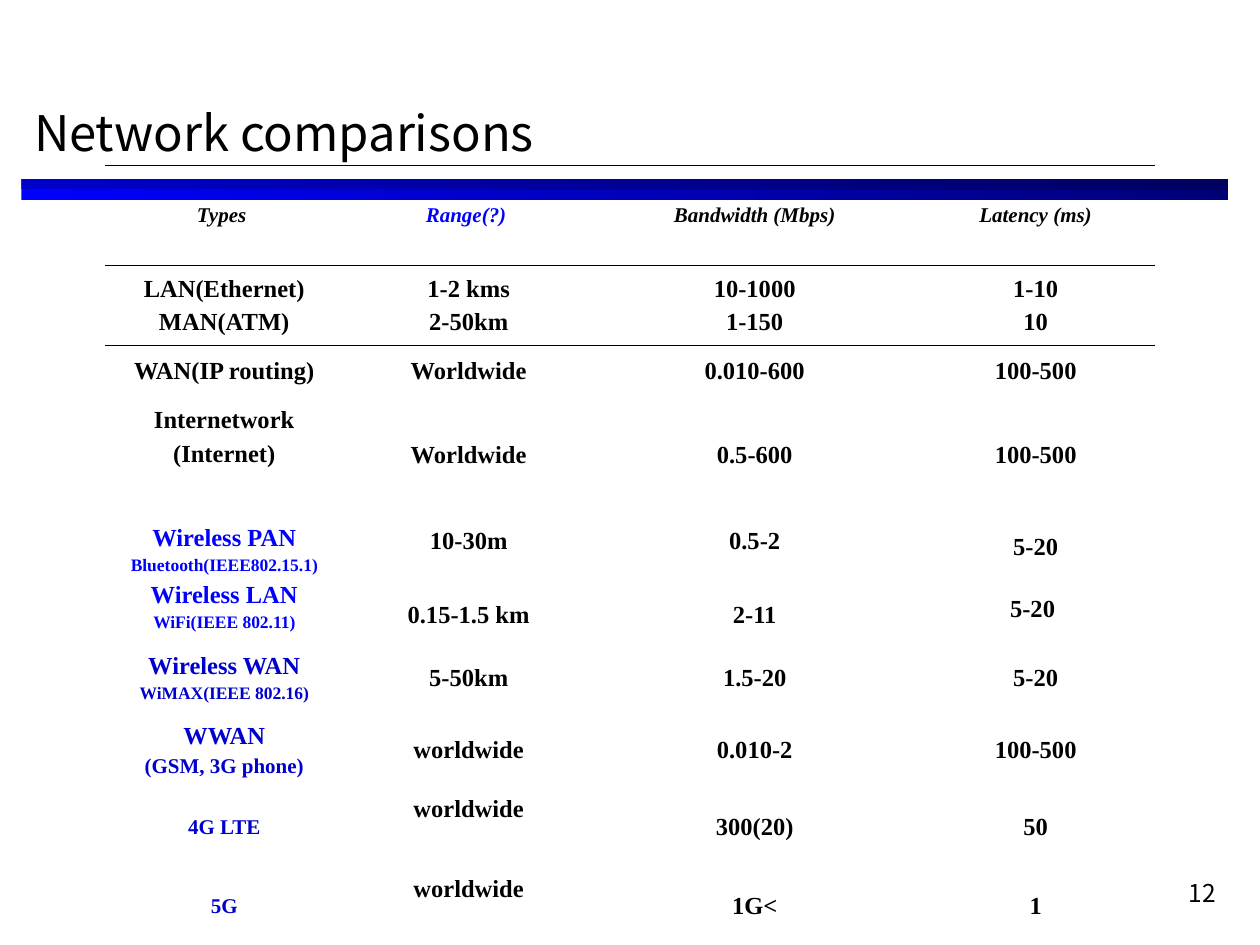
from lxml import etree
from pptx import Presentation
from pptx import util as u
from pptx.dml.color import RGBColor
from pptx.enum import shapes, text
from pptx.oxml import ns

BLACK = RGBColor(0, 0, 0)
BLUE = RGBColor(0, 0, 0xFF)
NAVY = RGBColor(0, 0, 0x76)
ROYAL = RGBColor(0, 0, 0xCC)
DEEP = RGBColor(0, 0, 0x5E)
SANS = "Noto Sans CJK KR"
SERIF = "Times New Roman"
NO_STYLE = "{2D5ABB26-0587-4C30-8999-92F81FD0307C}"

LEFT, SPAN = 0.17, 9.58
COLS = [1.9, 1.98, 2.56, 1.9]
ROWS = [0.8, 0.63, 0.41, 0.92, 1.04, 0.55, 0.59, 0.63, 0.63]
HEADS = ["Types ", "Range(?) ", "Bandwidth (Mbps)", "Latency (ms)"]
TYPES = [
    (BLACK, [("LAN(Ethernet)", 14), ("MAN(ATM)", 14)]),
    (BLACK, [("WAN(IP routing)", 14)]),
    (BLACK, [("Internetwork", 14), ("(Internet)", 14)]),
    (BLUE, [("Wireless PAN", 14), ("Bluetooth(IEEE802.15.1)", 10),
            ("Wireless LAN", 14), ("WiFi(IEEE 802.11)", 10)]),
    (ROYAL, [("Wireless WAN", 14), ("WiMAX(IEEE 802.16)", 10)]),
    (ROYAL, [("WWAN", 14), ("(GSM, 3G phone)", 12)]),
    (ROYAL, [("4G LTE", 12)]),
    (ROYAL, [("5G", 12)]),
]
VALUES = [
    (["1-2 kms", "2-50km"], ["10-1000", "1-150"], ["1-10", "10"]),
    (["Worldwide"], ["0.010-600"], ["100-500"]),
    (["Worldwide"], ["0.5-600"], ["100-500"]),
    (["10-30m", "0.15-1.5 km"], ["0.5-2", "2-11"], ["5-20", "5-20 "]),
    (["5-50km"], ["1.5-20"], ["5-20"]),
    (["worldwide"], ["0.010-2"], ["100-500"]),
    (["worldwide"], ["300(20)"], ["50"]),
    (["worldwide"], ["1G<"], ["1"]),
]
GAPS = {(4, 1): 27, (4, 2): 27, (4, 3): 19.5}
RAISED = {(3, 0), (7, 1), (8, 1)}


def add_run(para, words, size, face, color=BLACK, bold=False, slant=False):
    run = para.add_run()
    run.text = words
    font = run.font
    font.size, font.name = u.Pt(size), face
    font.bold, font.italic = bold, slant
    font.color.rgb = color


def add_bar(slide, height, start, end):
    bar = slide.shapes.add_shape(
        shapes.MSO_SHAPE.RECTANGLE, u.Inches(LEFT), u.Inches(1.42),
        u.Inches(SPAN), u.Inches(height))
    bar.shadow.inherit = False
    bar.line.fill.background()
    bar.fill.gradient()
    bar.fill.gradient_angle = 0
    for stop, color in zip(bar.fill.gradient_stops, (start, end)):
        stop.color.rgb = color


def set_title(slide, words):
    title = slide.shapes.title
    title.left, title.top = u.Inches(LEFT), u.Inches(0.67)
    title.width, title.height = u.Inches(SPAN), u.Inches(0.75)
    frame = title.text_frame
    frame.vertical_anchor = text.MSO_ANCHOR.MIDDLE
    para = frame.paragraphs[0]
    para.alignment = text.PP_ALIGN.LEFT
    add_run(para, words, 28, SANS)


def add_number(slide, words):
    box = slide.shapes.add_textbox(
        u.Inches(7.67), u.Inches(6.92), u.Inches(2.08), u.Inches(0.5))
    box.text_frame.word_wrap = True
    para = box.text_frame.paragraphs[0]
    para.alignment = text.PP_ALIGN.RIGHT
    add_run(para, words, 14, SANS)


def add_rule(cell, side, index):
    line = etree.Element(ns.qn("a:" + side), w=str(u.Pt(0.45)))
    fill = etree.SubElement(line, ns.qn("a:solidFill"))
    etree.SubElement(fill, ns.qn("a:srgbClr"), val=str(BLACK))
    cell.fill.background()
    cell._tc.get_or_add_tcPr().insert(index, line)


def fill_cell(cell, lines, color, slant=False, gap=None):
    cell.fill.background()
    cell.vertical_anchor = text.MSO_ANCHOR.MIDDLE
    frame = cell.text_frame
    for n, (words, size) in enumerate(lines):
        para = frame.add_paragraph() if n else frame.paragraphs[0]
        para.alignment = text.PP_ALIGN.CENTER
        if n:
            para.space_before = u.Pt(gap or size / 4)
        add_run(para, words, size, SERIF, color, True, slant)


def add_grid(slide):
    frame = slide.shapes.add_table(
        len(ROWS), len(COLS), u.Inches(0.83), u.Inches(1.31),
        u.Inches(sum(COLS)), u.Inches(sum(ROWS)))
    table = frame.table
    table.first_row = table.horz_banding = False
    table._tbl.tblPr.find(ns.qn("a:tableStyleId")).text = NO_STYLE
    for col, width in zip(table.columns, COLS):
        col.width = u.Inches(width)
    for row, height in zip(table.rows, ROWS):
        row.height = u.Inches(height)
    for c, words in enumerate(HEADS):
        color = BLUE if c == 1 else BLACK
        fill_cell(table.cell(0, c), [(words, 12)], color, slant=True)
    for r, ((color, lines), values) in enumerate(zip(TYPES, VALUES), 1):
        fill_cell(table.cell(r, 0), lines, color)
        for c, items in enumerate(values, 1):
            fill_cell(table.cell(r, c), [(item, 14) for item in items],
                      BLACK, gap=GAPS.get((r, c)))
    for r, c in RAISED:
        table.cell(r, c).margin_bottom = u.Inches(0.33)
    for c in range(len(COLS)):
        add_rule(table.cell(0, c), "lnT", 0)
        add_rule(table.cell(0, c), "lnB", 1)
        add_rule(table.cell(1, c), "lnT", 0)
        add_rule(table.cell(len(ROWS) - 1, c), "lnB", 0)


def main():
    deck = Presentation()
    deck.slide_width, deck.slide_height = u.Inches(10), u.Inches(7.5)
    slide = deck.slides.add_slide(deck.slide_layouts[5])
    add_bar(slide, 0.17, BLUE, NAVY)
    add_bar(slide, 0.08, ROYAL, DEEP)
    add_number(slide, "12")
    set_title(slide, "Network comparisons")
    add_grid(slide)
    deck.save("out.pptx")


if __name__ == "__main__":
    main()
